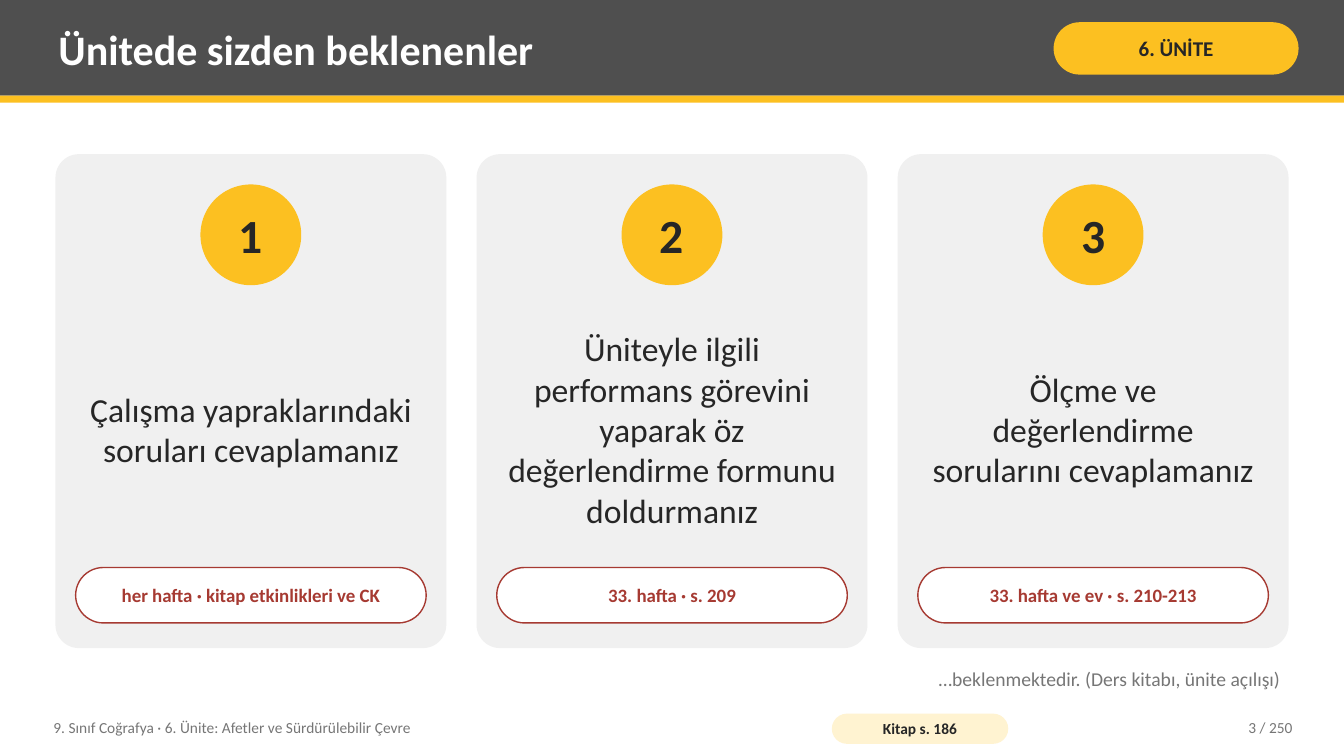
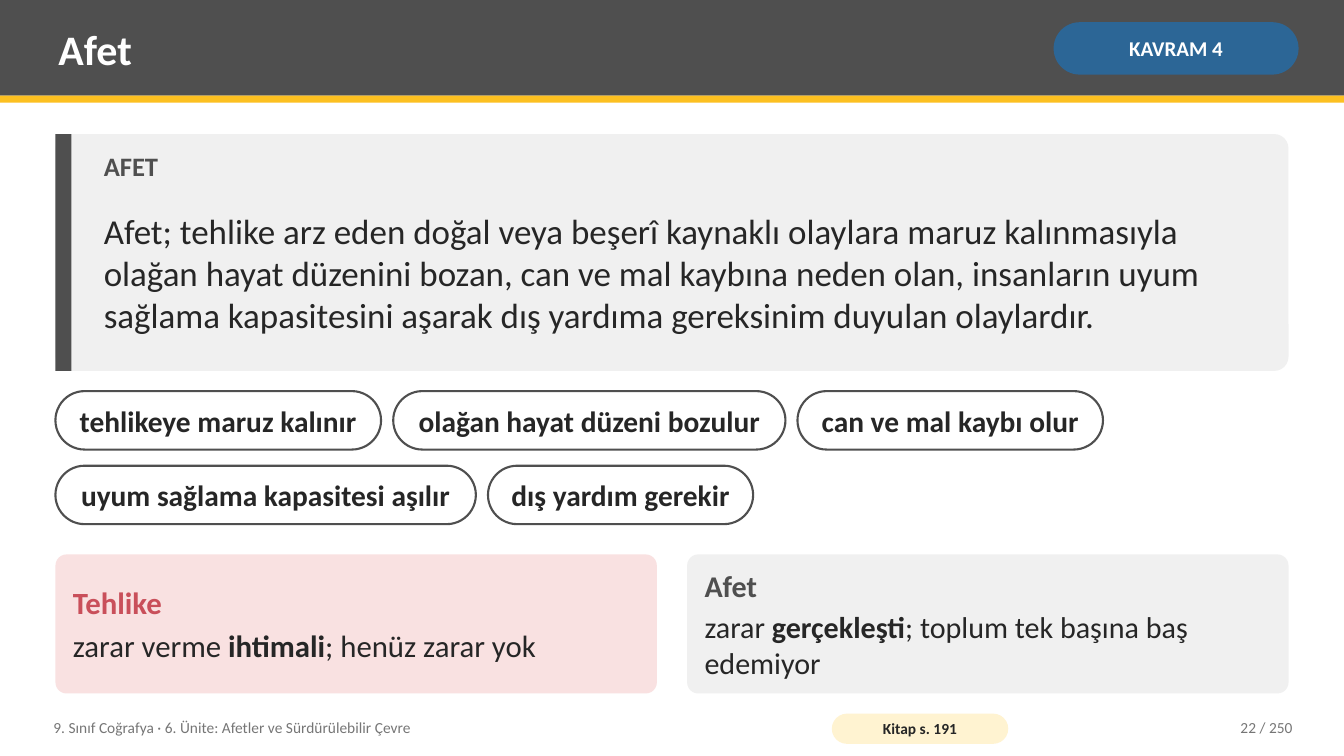
from dataclasses import dataclass

from pptx import Presentation
from pptx import util as u
from pptx.dml.color import RGBColor
from pptx.enum import shapes, text

RECT = shapes.MSO_SHAPE.RECTANGLE
ROUND = shapes.MSO_SHAPE.ROUNDED_RECTANGLE
OVAL = shapes.MSO_SHAPE.OVAL
LEFT, CENTER, RIGHT = text.PP_ALIGN.LEFT, text.PP_ALIGN.CENTER, text.PP_ALIGN.RIGHT
TOP, MIDDLE = text.MSO_ANCHOR.TOP, text.MSO_ANCHOR.MIDDLE


@dataclass(frozen=True)
class Theme:
    font: str = "Calibri"
    dark: str = "4F4F4F"
    yellow: str = "FCC021"
    cream: str = "FFF3D1"
    blue: str = "2C6696"
    ink: str = "262626"
    muted: str = "767676"
    panel: str = "F0F0F0"
    white: str = "FFFFFF"
    brick: str = "A63A32"
    rose: str = "C94F5A"
    blush: str = "F9E1E1"
    title: float = 30
    badge: float = 15
    number: float = 34
    card: float = 24
    tag: float = 13.5
    note: float = 14
    term: float = 19
    definition: float = 25
    chip: float = 21
    compare: float = 22
    footer: float = 11


THEME = Theme()
WIDTH, HEIGHT = 13.33, 7.5
MARGIN = 0.55
CONTENT = 12.23
GAP = 0.3
FOOTER = "9. Sınıf Coğrafya · 6. Ünite: Afetler ve Sürdürülebilir Çevre"
PAGES = 250


def write(tf, *paragraphs, size, color=THEME.ink, bold=False, align=LEFT,
          anchor=MIDDLE, inset=(0.08, 0.04), wrap=True):
    """Fill a text frame; a paragraph is a string or a list of (text, overrides)."""
    tf.word_wrap = wrap
    tf.vertical_anchor = anchor
    tf.margin_left = tf.margin_right = u.Inches(inset[0])
    tf.margin_top = tf.margin_bottom = u.Inches(inset[1])
    for i, runs in enumerate(paragraphs):
        p = tf.add_paragraph() if i else tf.paragraphs[0]
        p.alignment = align
        for words, own in [(runs, {})] if isinstance(runs, str) else runs:
            r = p.add_run()
            r.text = words
            r.font.name = THEME.font
            r.font.size = u.Pt(size)
            r.font.bold = own.get("bold", bold)
            r.font.color.rgb = RGBColor.from_string(own.get("color", color))


class Deck:
    def __init__(self):
        self.prs = Presentation()
        self.prs.slide_width = u.Inches(WIDTH)
        self.prs.slide_height = u.Inches(HEIGHT)
        self.slide = None

    def shape(self, kind, x, y, w, h, fill, radius=None, line=None, line_width=1):
        sp = self.slide.shapes.add_shape(kind, *map(u.Inches, (x, y, w, h)))
        sp.shadow.inherit = False
        sp.fill.solid()
        sp.fill.fore_color.rgb = RGBColor.from_string(fill)
        if radius is not None:
            sp.adjustments[0] = radius
        if line:
            sp.line.color.rgb = RGBColor.from_string(line)
            sp.line.width = u.Pt(line_width)
        else:
            sp.line.fill.background()
        return sp

    def label(self, x, y, w, h, words, **style):
        sp = self.slide.shapes.add_textbox(*map(u.Inches, (x, y, w, h)))
        write(sp.text_frame, words, **style)

    def pill(self, x, y, w, h, words, fill=THEME.white, line=None, line_width=1, **style):
        sp = self.shape(ROUND, x, y, w, h, fill, 0.5, line, line_width)
        write(sp.text_frame, words, bold=True, align=CENTER, **style)

    def new_slide(self, title, badge, badge_fill, badge_color, book_page, number):
        """Start a slide with its title band, badge and footer."""
        self.slide = self.prs.slides.add_slide(self.prs.slide_layouts[6])
        self.shape(RECT, 0, 0, WIDTH, 0.95, THEME.dark)
        self.shape(RECT, 0, 0.95, WIDTH, 0.07, THEME.yellow)
        self.label(0.5, 0.07, 9.75, 0.82, title, size=THEME.title,
                   color=THEME.white, bold=True)
        self.pill(10.45, 0.22, 2.43, 0.52, badge, badge_fill, size=THEME.badge,
                  color=badge_color, inset=(0.05, 0.02))
        small = dict(size=THEME.footer, color=THEME.muted)
        self.label(0.45, 7.04, 7.6, 0.36, FOOTER, **small)
        self.pill(8.25, 7.08, 1.75, 0.3, f"Kitap s. {book_page}", THEME.cream,
                  size=THEME.footer, inset=(0.04, 0))
        self.label(11.3, 7.04, 1.6, 0.36, f"{number} / {PAGES}", align=RIGHT, **small)

    def task_card(self, x, y, w, h, number, task, when):
        self.shape(ROUND, x, y, w, h, THEME.panel, 0.06)
        circle = self.shape(OVAL, x + (w - 1) / 2, y + 0.3, 1, 1, THEME.yellow)
        write(circle.text_frame, str(number), size=THEME.number, bold=True,
              align=CENTER, inset=(0, 0), wrap=False)
        self.label(x + 0.2, y + 1.5, w - 0.4, 2.45, task, size=THEME.card, align=CENTER)
        self.pill(x + 0.2, y + 4.1, w - 0.4, 0.55, when, line=THEME.brick,
                  size=THEME.tag, color=THEME.brick, inset=(0.04, 0.08))

    def definition(self, y, h, term, meaning):
        self.shape(ROUND, MARGIN, y, CONTENT, h, THEME.panel, 0.06)
        self.shape(RECT, MARGIN, y, 0.16, h, THEME.dark)
        x, w = MARGIN + 0.4, CONTENT - 0.6
        self.label(x, y + 0.12, w, 0.45, term, size=THEME.term,
                   color=THEME.dark, bold=True, anchor=TOP)
        self.label(x, y + 0.55, w, 1.65, meaning, size=THEME.definition)

    def chips(self, y, items):
        """Lay chips out in rows, wrapping at the right margin."""
        x = MARGIN
        for words, w in items:
            if x + w > MARGIN + CONTENT:
                x, y = MARGIN, y + 0.74
            self.pill(x, y, w, 0.58, words, line=THEME.dark, line_width=1.5,
                      size=THEME.chip, inset=(0.06, 0))
            x += w + 0.12

    def compare_box(self, x, y, w, h, fill, color, heading, runs, size=THEME.compare):
        sp = self.shape(ROUND, x, y, w, h, fill, 0.08)
        write(sp.text_frame, [(heading, dict(color=color, bold=True))], runs,
              size=size, inset=(0.14, 0.08))
        sp.text_frame.paragraphs[0].space_after = u.Pt(4)


def column_width(count):
    return (CONTENT - GAP * (count - 1)) / count


def expectations(deck):
    deck.new_slide("Ünitede sizden beklenenler", "6. ÜNİTE", THEME.yellow,
                   THEME.ink, 186, 3)
    tasks = [
        ("Çalışma yapraklarındaki soruları cevaplamanız",
         "her hafta · kitap etkinlikleri ve CK"),
        ("Üniteyle ilgili performans görevini yaparak öz değerlendirme formunu doldurmanız",
         "33. hafta · s. 209"),
        ("Ölçme ve değerlendirme sorularını cevaplamanız",
         "33. hafta ve ev · s. 210-213"),
    ]
    w = column_width(len(tasks))
    for i, (task, when) in enumerate(tasks):
        deck.task_card(MARGIN + i * (w + GAP), 1.53, w, 4.9, i + 1, task, when)
    deck.label(MARGIN, 6.58, CONTENT, 0.4, "…beklenmektedir. (Ders kitabı, ünite açılışı)",
               size=THEME.note, color=THEME.muted, align=RIGHT, anchor=TOP)


def disaster(deck):
    deck.new_slide("Afet", "KAVRAM 4", THEME.blue, THEME.white, 191, 22)
    deck.definition(
        1.33, 2.35, "AFET",
        "Afet; tehlike arz eden doğal veya beşerî kaynaklı olaylara maruz kalınmasıyla "
        "olağan hayat düzenini bozan, can ve mal kaybına neden olan, insanların uyum "
        "sağlama kapasitesini aşarak dış yardıma gereksinim duyulan olaylardır.")
    deck.chips(3.88, [
        ("tehlikeye maruz kalınır", 3.23),
        ("olağan hayat düzeni bozulur", 3.89),
        ("can ve mal kaybı olur", 3.03),
        ("uyum sağlama kapasitesi aşılır", 4.17),
        ("dış yardım gerekir", 2.63),
    ])
    w = column_width(2)
    strong = dict(bold=True)
    deck.compare_box(MARGIN, 5.5, w, 1.38, THEME.blush, THEME.rose, "Tehlike",
                     [("zarar verme ", {}), ("ihtimali", strong),
                      ("; henüz zarar yok", {})])
    deck.compare_box(MARGIN + w + GAP, 5.5, w, 1.38, THEME.panel, THEME.dark, "Afet",
                     [("zarar ", {}), ("gerçekleşti", strong),
                      ("; toplum tek başına baş edemiyor", {})],
                     size=THEME.compare - 0.5)


def main():
    deck = Deck()
    expectations(deck)
    disaster(deck)
    deck.prs.save("out.pptx")


if __name__ == "__main__":
    main()
